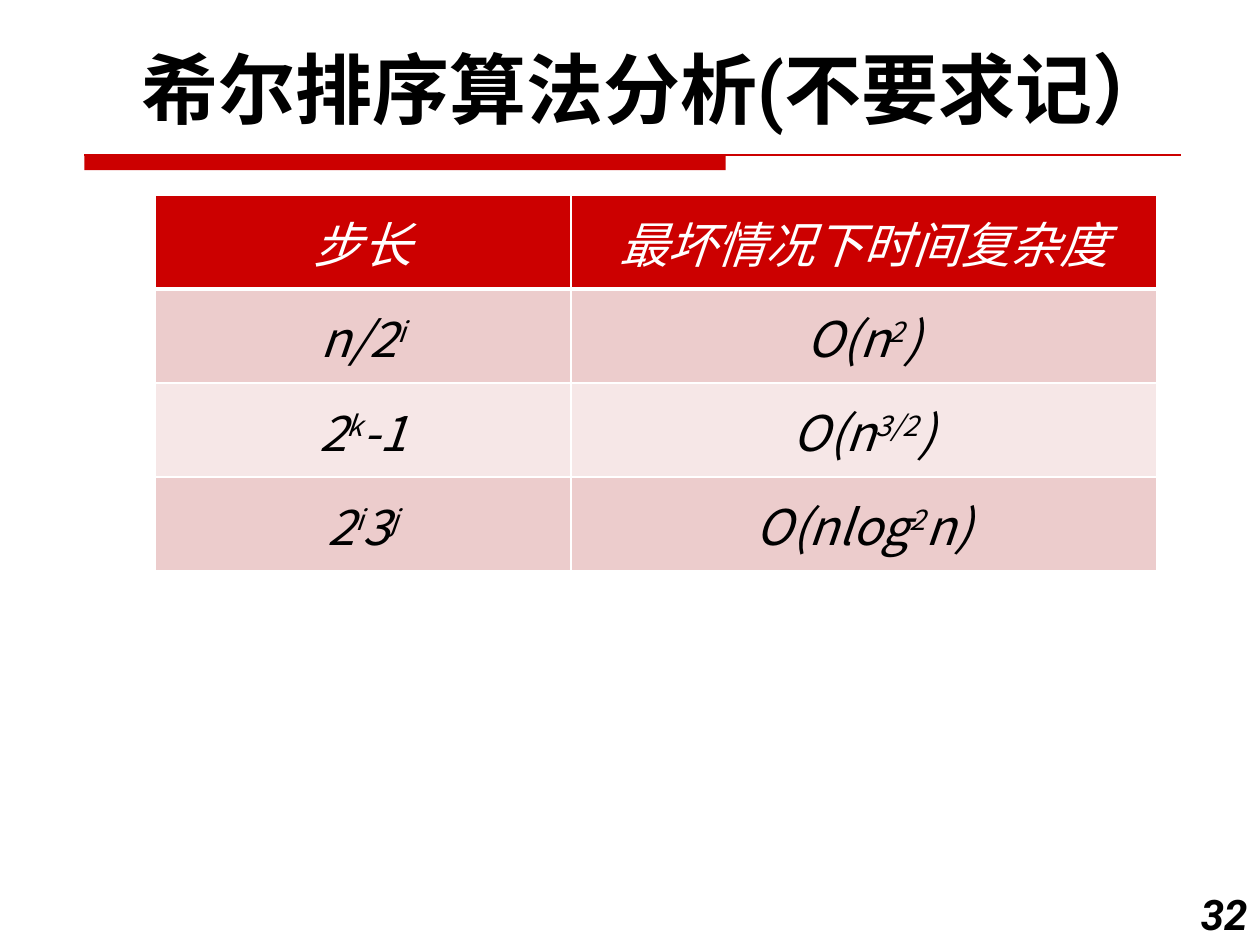
from dataclasses import dataclass

from lxml.etree import SubElement
from pptx import Presentation
from pptx.dml.color import RGBColor
from pptx.enum.shapes import MSO_CONNECTOR, MSO_SHAPE
from pptx.enum.text import MSO_ANCHOR, MSO_AUTO_SIZE, PP_ALIGN
from pptx.oxml.ns import qn
from pptx.util import Inches, Pt


@dataclass(frozen=True)
class Theme:
    red: RGBColor = RGBColor(0xCC, 0x00, 0x00)
    band_dark: RGBColor = RGBColor(0xEC, 0xCC, 0xCC)
    band_light: RGBColor = RGBColor(0xF6, 0xE7, 0xE7)
    black: RGBColor = RGBColor(0x00, 0x00, 0x00)
    white: RGBColor = RGBColor(0xFF, 0xFF, 0xFF)
    latin: str = "Roboto"
    cjk: str = "Noto Sans CJK SC"
    title: int = 44
    body: int = 28
    number: int = 24


theme = Theme()


def format_run(r, size, color, font, bold=False, italic=False):
    r.font.size = Pt(size)
    r.font.color.rgb = color
    r.font.name = font
    r.font.bold = bold
    r.font.italic = italic
    SubElement(r._r.get_or_add_rPr(), qn("a:ea"), typeface=theme.cjk)


def set_borders(cell, widths):
    """Draw white cell borders; widths maps a side (L, R, T, B) to points."""
    tcPr = cell._tc.get_or_add_tcPr()
    for i, (side, width) in enumerate(widths.items()):
        ln = tcPr.makeelement(qn(f"a:ln{side}"), {"w": str(Pt(width))})
        fill = SubElement(ln, qn("a:solidFill"))
        SubElement(fill, qn("a:srgbClr"), val=str(theme.white))
        tcPr.insert(i, ln)


prs = Presentation()
prs.slide_width, prs.slide_height = Inches(10), Inches(7.5)
s = prs.slides.add_slide(prs.slide_layouts[5])

# Title and slide number
title = s.shapes.title
title.left, title.top = Inches(0.58), Inches(0.28)
title.width, title.height = Inches(9.25), Inches(0.84)
number = s.shapes.add_textbox(Inches(9.33), Inches(7), Inches(0.67), Inches(0.5))
for sp, text, size, align, italic in (
    (title, "希尔排序算法分析(不要求记）", theme.title, PP_ALIGN.CENTER, False),
    (number, "32", theme.number, PP_ALIGN.RIGHT, True),
):
    tf = sp.text_frame
    tf.text = text
    tf.word_wrap = True
    tf.auto_size = MSO_AUTO_SIZE.SHAPE_TO_FIT_TEXT
    tf.vertical_anchor = MSO_ANCHOR.TOP
    p = tf.paragraphs[0]
    p.alignment = align
    format_run(p.runs[0], size, theme.black, theme.latin, bold=True, italic=italic)

# Red rule under the title
rule_left, rule_top = Inches(0.67), Inches(1.23)
bar = s.shapes.add_shape(MSO_SHAPE.RECTANGLE, rule_left, rule_top, Inches(5.09), Inches(0.12))
bar.shadow.inherit = False
bar.fill.solid()
bar.fill.fore_color.rgb = theme.red
bar.line.fill.background()
rule = s.shapes.add_connector(MSO_CONNECTOR.STRAIGHT, rule_left, rule_top, Inches(9.37), rule_top)
rule.line.color.rgb = theme.red
rule.line.width = Pt(0.75)
SubElement(rule._element.spPr, qn("a:effectLst"))

# Complexity table: "|" switches between normal text and superscript
rows = [
    ("步长", "最坏情况下时间复杂度"),
    ("n/2|i", "O(n|2|)"),
    ("2|k|-1", "O(n|3/2|)"),
    ("2|i|3|j", "O(nlog|2|n)"),
]
frame = s.shapes.add_table(len(rows), 2, Inches(1.23), Inches(1.55), Inches(7.95), Inches(2.98))
table = frame.table
for column, width in zip(table.columns, (3.3, 4.65)):
    column.width = Inches(width)

for i, row in enumerate(rows):
    header = i == 0
    band = theme.red if header else theme.band_dark if i % 2 else theme.band_light
    for j, text in enumerate(row):
        cell = table.cell(i, j)
        cell.fill.solid()
        cell.fill.fore_color.rgb = band
        cell.vertical_anchor = MSO_ANCHOR.MIDDLE
        set_borders(cell, {"L": 1, "R": 1, "T": 3 if i == 1 else 1, "B": 3 if header else 1})
        p = cell.text_frame.paragraphs[0]
        p.alignment = PP_ALIGN.CENTER
        for k, part in enumerate(text.split("|")):
            r = p.add_run()
            r.text = part
            format_run(r, theme.body, theme.white if header else theme.black, theme.cjk, italic=True)
            if k % 2:
                r._r.get_or_add_rPr().set("baseline", "30000")

prs.save("out.pptx")
